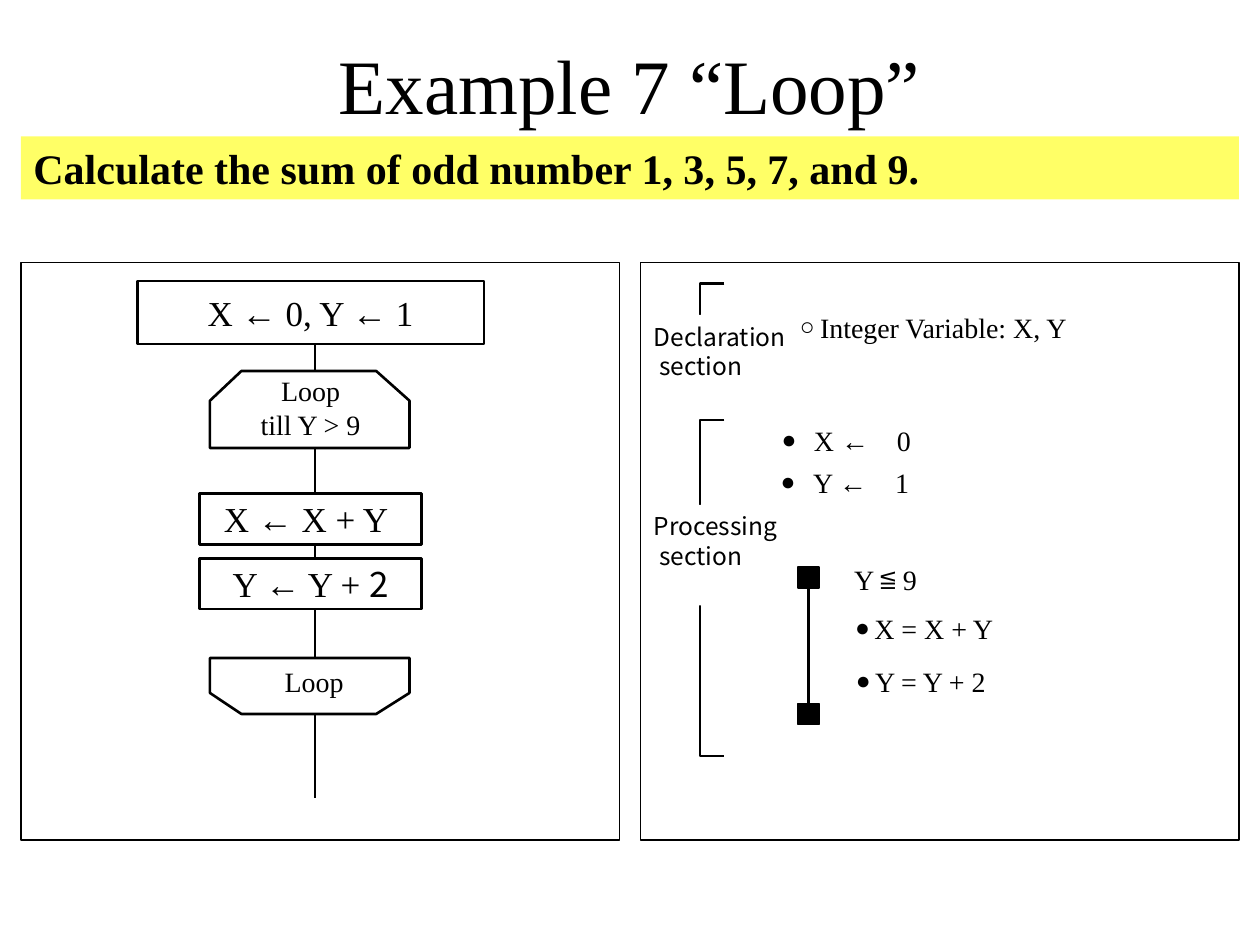
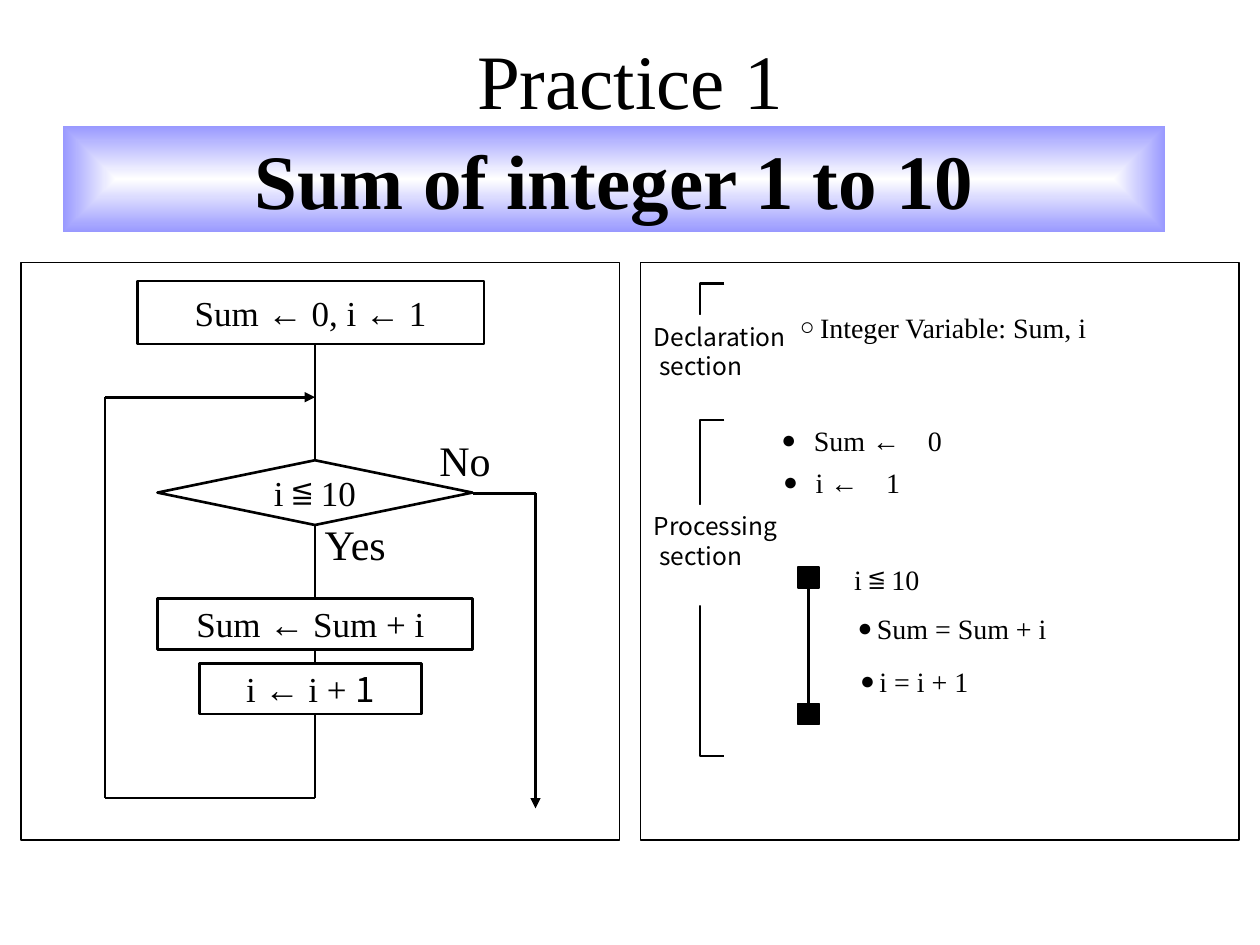
from lxml.etree import SubElement
from pptx import Presentation
from pptx.dml.color import RGBColor
from pptx.enum.shapes import MSO_CONNECTOR, MSO_SHAPE
from pptx.enum.text import MSO_ANCHOR, MSO_AUTO_SIZE, PP_ALIGN
from pptx.oxml.ns import qn
from pptx.util import Pt

BLACK = RGBColor(0x00, 0x00, 0x00)
WHITE = RGBColor(0xFF, 0xFF, 0xFF)
YELLOW = RGBColor(0xFF, 0xFF, 0x66)
LAVENDER = RGBColor(0x99, 0x99, 0xFF)
SERIF = "Times New Roman"
SANS = "Noto Sans CJK JP"
LINE_WIDTH = 1.5
FLOW_X = 180
PANEL_TOP, PANEL_WIDTH, PANEL_HEIGHT = 150, 342, 330
FLOW_PANEL_LEFT, CODE_PANEL_LEFT = 12, 366


def format_font(font, size, name=SERIF, bold=False):
    font.size = Pt(size)
    font.name = name
    font.bold = bold
    font.color.rgb = BLACK


def fill_text(frame, text, size, name=SERIF, bold=False, align=PP_ALIGN.LEFT):
    frame.text = text
    for para in frame.paragraphs:
        para.alignment = align
        for span in para.runs:
            format_font(span.font, size, name, bold)


def style_shape(shape, fill=None, width=None):
    shape.shadow.inherit = False
    if fill is None:
        shape.fill.background()
    else:
        shape.fill.solid()
        shape.fill.fore_color.rgb = fill
    if width is None:
        shape.line.fill.background()
    else:
        shape.line.color.rgb = BLACK
        shape.line.width = Pt(width)


def add_block(page, kind, left, top, width, height, fill=None, line=None):
    shape = page.shapes.add_shape(kind, Pt(left), Pt(top), Pt(width), Pt(height))
    style_shape(shape, fill, line)
    return shape


def add_outline(page, points, closed, fill=None):
    builder = page.shapes.build_freeform(*points[0], scale=Pt(1))
    builder.add_line_segments(points[1:], close=closed)
    style_shape(builder.convert_to_shape(), fill, LINE_WIDTH)


def add_line(page, start, end, arrow=False):
    line = page.shapes.add_connector(
        MSO_CONNECTOR.STRAIGHT, *(Pt(value) for value in (*start, *end)))
    line.line.color.rgb = BLACK
    line.line.width = Pt(LINE_WIDTH)
    if arrow:
        SubElement(line.line._get_or_add_ln(), qn("a:tailEnd"), type="triangle")
    SubElement(line._element.spPr, qn("a:effectLst"))


def add_text(page, text, left, top, width, size, height=27, align=PP_ALIGN.LEFT):
    box = page.shapes.add_textbox(Pt(left), Pt(top), Pt(width), Pt(height))
    box.text_frame.word_wrap = False
    fill_text(box.text_frame, text, size, align=align)
    return box


def add_statement(page, text, left, top, width, mark="●", indent=11):
    box = add_text(page, text, left, top, width, 16)
    props = box.text_frame.paragraphs[0]._p.get_or_add_pPr()
    props.set("marL", str(Pt(indent)))
    props.set("indent", str(Pt(-indent)))
    SubElement(props, qn("a:buSzPct"), val="87500")
    SubElement(props, qn("a:buFont"), typeface=SERIF)
    SubElement(props, qn("a:buChar"), char=mark)


def add_step(page, text, top, width, height=29, kind=MSO_SHAPE.FLOWCHART_PROCESS,
             center=177.5, sans_tail="", shift=0):
    step = add_block(page, kind, center - width / 2, top, width, height, WHITE, LINE_WIDTH)
    frame = step.text_frame
    frame.word_wrap = False
    frame.vertical_anchor = MSO_ANCHOR.MIDDLE
    frame.margin_right = Pt(7.2 + shift)
    fill_text(frame, text, 20, align=PP_ALIGN.CENTER)
    if sans_tail:
        span = frame.paragraphs[0].add_run()
        span.text = sans_tail
        format_font(span.font, 20, SANS)


def add_loop_cap(page, base, shoulder, tip):
    add_outline(page, [(120, base), (234, base), (234, shoulder), (215, tip),
                       (138, tip), (120, shoulder)], True, WHITE)


def add_section(page, name, bracket_top, bracket_bottom, label_top):
    add_outline(page, [(414, bracket_top), (400, bracket_top),
                       (400, bracket_bottom), (414, bracket_bottom)], False)
    label = add_block(page, MSO_SHAPE.RECTANGLE, 366.5, label_top, 96, 57.5, WHITE)
    frame = label.text_frame
    frame.vertical_anchor = MSO_ANCHOR.TOP
    fill_text(frame, f"{name}\nsection", 14, SANS)
    for para in frame.paragraphs:
        para.line_spacing = Pt(17)
    frame.paragraphs[1]._p.get_or_add_pPr().set("marL", str(Pt(3)))


def add_panel(page, left):
    add_block(page, MSO_SHAPE.RECTANGLE, left, PANEL_TOP, PANEL_WIDTH, PANEL_HEIGHT,
              line=0.75)


def add_pseudocode(page, variables, assignments, condition, body):
    add_section(page, "Declaration", 162, 234, 180)
    add_section(page, "Processing", 240, 432, 288.5)
    add_panel(page, CODE_PANEL_LEFT)
    add_statement(page, f"Integer Variable: {variables}", 450, 174, 240, "○", 11.5)
    for row, (text, left, width) in enumerate(assignments):
        add_statement(page, text, left, 238.5 + 24 * row, width, indent=18.5)
    add_text(page, condition, 481, 318, 149, 16)
    for row, (text, left, width) in enumerate(body):
        add_statement(page, text, left, 346 + 30 * row, width)
    add_line(page, (462, 333), (462, 408))
    for top in (324, 402):
        add_block(page, MSO_SHAPE.RECTANGLE, 456, top, 12, 12, BLACK, 0.75)


def add_titled_page(deck, text, height):
    page = deck.slides.add_slide(deck.slide_layouts[5])
    title = page.shapes.title
    title.left, title.top, title.width, title.height = Pt(54), Pt(18), Pt(612), Pt(height)
    frame = title.text_frame
    frame.auto_size = MSO_AUTO_SIZE.NONE
    frame.vertical_anchor = MSO_ANCHOR.MIDDLE
    fill_text(frame, text, 44, align=PP_ALIGN.CENTER)
    return page


def add_band(page, text, left, top, width, height, size, align):
    band = add_block(page, MSO_SHAPE.RECTANGLE, left, top, width, height, YELLOW)
    band.text_frame.vertical_anchor = MSO_ANCHOR.TOP
    fill_text(band.text_frame, text, size, bold=True, align=align)
    return band


def apply_glow(shape):
    shape.fill.gradient()
    for stop, color, position in zip(shape.fill.gradient_stops, (WHITE, LAVENDER), (0, 1)):
        stop.color.rgb = color
        stop.position = position
    gradient = shape._element.spPr.find(qn("a:gradFill"))
    gradient.remove(gradient.find(qn("a:lin")))
    center = SubElement(gradient, qn("a:path"), {"path": "rect"})
    SubElement(center, qn("a:fillToRect"), dict.fromkeys("ltrb", "50000"))


def add_loop_example(deck):
    page = add_titled_page(deck, "Example 7 “Loop”", 60)
    add_band(page, "Calculate the sum of odd number 1, 3, 5, 7, and 9.",
             12, 78, 696, 36, 24, PP_ALIGN.LEFT)
    add_pseudocode(page, "X, Y", [("X ←　0", 439.5, 96), ("Y ←　1", 439, 96)],
                   "Y ≦ 9", [("X = X + Y", 481.5, 95), ("Y = Y + 2", 482, 91)])
    add_panel(page, FLOW_PANEL_LEFT)
    add_line(page, (FLOW_X, 197), (FLOW_X, 456))
    add_step(page, "X ← 0, Y ← 1", 160.5, 198, 36)
    add_step(page, "X ← X + Y", 282, 127, shift=5)
    add_step(page, "Y ← Y + ", 319, 127, sans_tail="2")
    add_loop_cap(page, 255.5, 229, 212.5)
    add_loop_cap(page, 376, 395.5, 408)
    add_text(page, "Loop\ntill Y > 9", 141, 210, 73, 16, 46, PP_ALIGN.CENTER)
    add_text(page, "Loop", 155.5, 376, 48, 16, align=PP_ALIGN.CENTER)


def add_sum_practice(deck):
    page = add_titled_page(deck, "Practice 1", 54)
    apply_glow(add_band(page, "Sum of integer 1 to 10", 36, 72, 630, 60.5, 44,
                        PP_ALIGN.CENTER))
    add_panel(page, FLOW_PANEL_LEFT)
    add_line(page, (FLOW_X, 197), (FLOW_X, 456))
    add_step(page, "i ≦ 10", 263, 180, 37, MSO_SHAPE.FLOWCHART_DECISION, FLOW_X)
    add_step(page, "Sum ← 0, i ← 1", 160.5, 198, 36)
    add_line(page, (FLOW_X, 456), (60, 456))
    add_line(page, (60, 456), (60, 227))
    add_line(page, (60, 227), (FLOW_X, 227), arrow=True)
    add_line(page, (270, 282), (306, 282))
    add_line(page, (306, 282), (306, 462), arrow=True)
    add_text(page, "No", 244, 245, 44, 24, 36)
    add_text(page, "Yes", 178.5, 293, 52, 24, 36)
    add_step(page, "Sum ← Sum + i", 342, 180, center=FLOW_X, shift=5)
    add_step(page, "i ← i + ", 379, 127, sans_tail="1")
    add_pseudocode(page, "Sum, i", [("Sum ←　0", 439.5, 114), ("i ←　1", 440.5, 89)],
                   "i ≦ 10", [("Sum = Sum + i", 483, 123), ("i = i + 1", 484.5, 77)])


def main():
    deck = Presentation()
    deck.slide_width, deck.slide_height = Pt(720), Pt(540)
    add_loop_example(deck)
    add_sum_practice(deck)
    deck.save("out.pptx")


if __name__ == "__main__":
    main()
